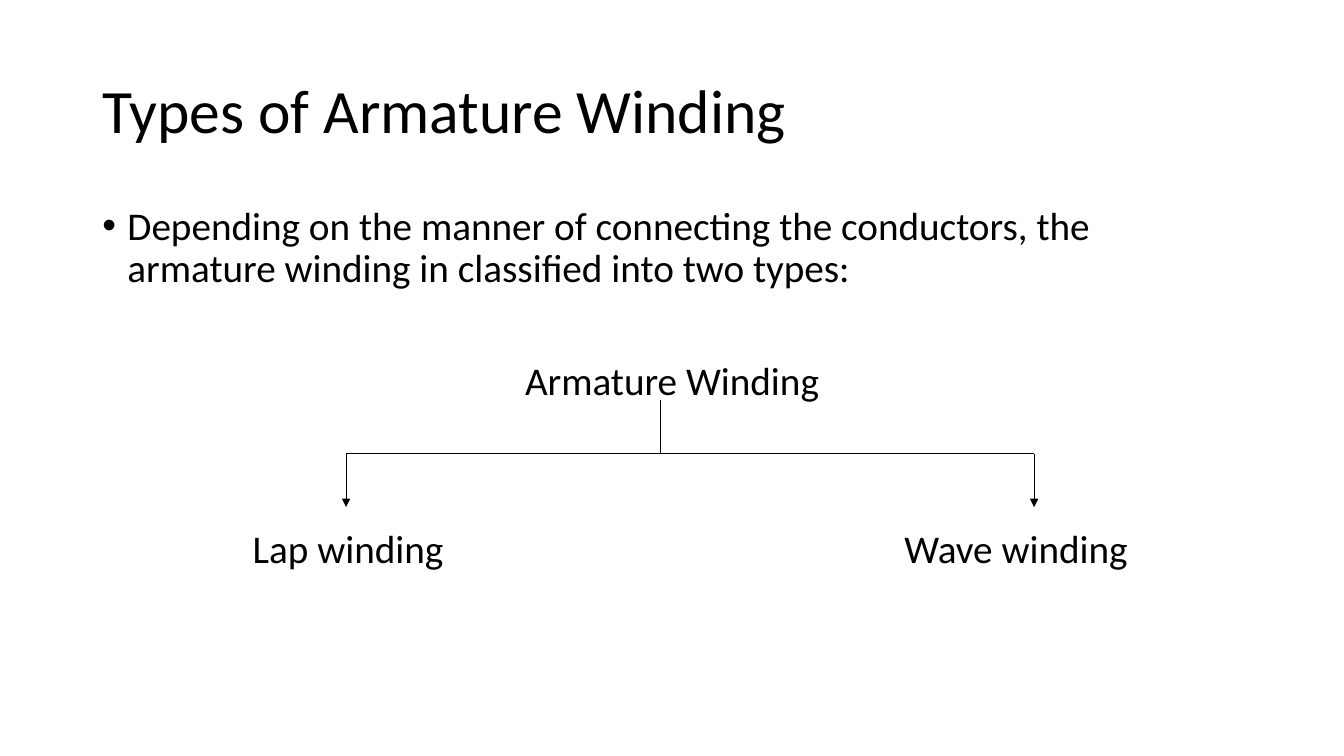
from lxml import etree
from pptx import Presentation
from pptx.dml.color import RGBColor
from pptx.enum import shapes, text
from pptx.oxml import ns
from pptx.util import Pt

BLACK = RGBColor(0, 0, 0)
FONT = "Calibri"
STEM_X, LAP_X, WAVE_X = 471.6, 247.2, 738.7
STEM_TOP, BRANCH_Y, ARROW_END = 285.8, 324, 362.2
LABEL_W, LABEL_H = 240, 38


def add_text(slide, words, left, top, width, height, size=28,
             anchor=text.MSO_ANCHOR.TOP, align=text.PP_ALIGN.LEFT):
    sp = slide.shapes.add_textbox(Pt(left), Pt(top), Pt(width), Pt(height))
    tf = sp.text_frame
    tf.word_wrap = True
    tf.vertical_anchor = anchor
    p = tf.paragraphs[0]
    p.text = words
    p.alignment = align
    p.line_spacing = 0.9
    p.font.size = Pt(size)
    p.font.name = FONT
    p.font.color.rgb = BLACK
    return p


def add_bullet(p, indent=18):
    pPr = p._p.get_or_add_pPr()
    pPr.set("marL", str(Pt(indent)))
    pPr.set("indent", str(-Pt(indent)))
    bullet_font = etree.Element(ns.qn("a:buFont"), typeface="Arial")
    bullet = etree.Element(ns.qn("a:buChar"), char="•")
    defaults = pPr.find(ns.qn("a:defRPr"))
    defaults.addprevious(bullet_font)
    defaults.addprevious(bullet)


def add_label(slide, words, center, top):
    add_text(slide, words, center - LABEL_W / 2, top, LABEL_W, LABEL_H,
             align=text.PP_ALIGN.CENTER)


def add_line(slide, x1, y1, x2, y2, arrow=False):
    sp = slide.shapes.add_connector(shapes.MSO_CONNECTOR.STRAIGHT,
                                    Pt(x1), Pt(y1), Pt(x2), Pt(y2))
    sp.line.color.rgb = BLACK
    sp.line.width = Pt(0.5)
    if arrow:
        etree.SubElement(sp.line._get_or_add_ln(), ns.qn("a:tailEnd"),
                         type="triangle")
    etree.SubElement(sp._element.spPr, ns.qn("a:effectLst"))


def main():
    prs = Presentation()
    prs.slide_width, prs.slide_height = Pt(960), Pt(540)
    slide = prs.slides.add_slide(prs.slide_layouts[6])

    add_text(slide, "Types of Armature Winding", 66, 28.8, 828, 104.4,
             size=44, anchor=text.MSO_ANCHOR.MIDDLE)
    p = add_text(slide, "Depending on the manner of connecting the conductors, "
                 "the armature winding in classified into two types:",
                 66, 144, 828, 72)
    add_bullet(p)

    add_label(slide, "Armature Winding", 480, 254.5)
    add_label(slide, "Lap winding", 248.6, 375)
    add_label(slide, "Wave winding", 725.7, 375)

    add_line(slide, STEM_X, STEM_TOP, STEM_X, BRANCH_Y)
    add_line(slide, LAP_X, BRANCH_Y, WAVE_X, BRANCH_Y)
    for x in (LAP_X, WAVE_X):
        add_line(slide, x, BRANCH_Y, x, ARROW_END, arrow=True)

    prs.save("out.pptx")


if __name__ == "__main__":
    main()
